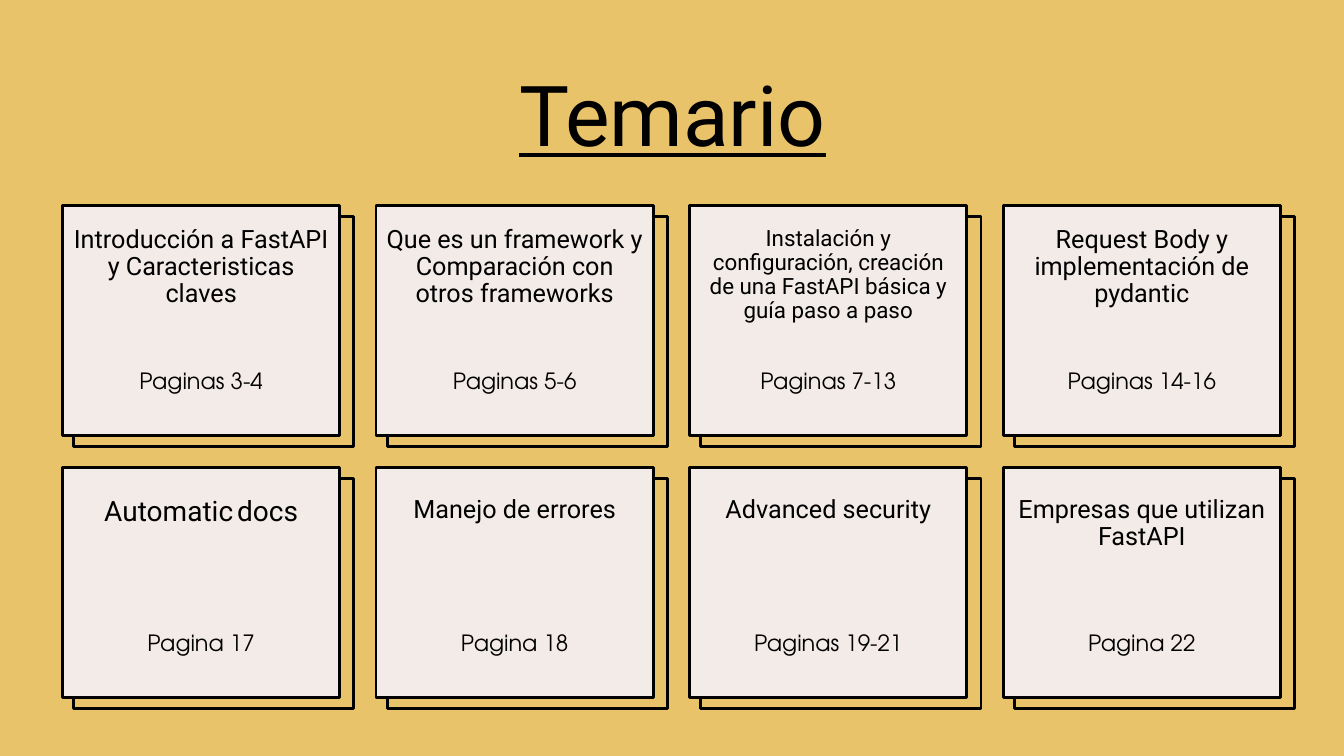
from dataclasses import dataclass

from pptx import Presentation
from pptx.dml.color import RGBColor
from pptx.enum.shapes import MSO_SHAPE
from pptx.enum.text import MSO_ANCHOR, PP_ALIGN
from pptx.shapes.autoshape import Shape
from pptx.slide import Slide
from pptx.text.text import TextFrame, _Run
from pptx.util import Emu, Pt

MUSTARD = RGBColor(0xE9, 0xC3, 0x69)
CREAM = RGBColor(0xF3, 0xEB, 0xE8)
BLACK = RGBColor(0x00, 0x00, 0x00)

HEADING_FONT = "Roboto"
SPACE_FONT = "Roboto Condensed"
PAGES_FONT = "TeX Gyre Adventor"

COLUMNS = 4
LEFT, COLUMN_STEP = 62, 311
CARD_TOPS = (204, 464)
HEADING_TOPS = (220, 488)
CARD_WIDTH, CARD_HEIGHT = 275, 228
BACKING_WIDTH, BACKING_OFFSET = 278, 11


@dataclass(frozen=True)
class Topic:
    heading: str
    pages: str
    size: int = 18


TOPICS = (
    Topic("Introducción a FastAPI y Caracteristicas claves", "Paginas 3-4"),
    Topic("Que es un framework y Comparación con otros frameworks", "Paginas 5-6"),
    Topic("Instalación y configuración, creación de una FastAPI básica y guía paso a paso",
          "Paginas 7-13", 16),
    Topic("Request Body y implementación de pydantic", "Paginas 14-16"),
    Topic("Automatic docs", "Pagina 17", 20),
    Topic("Manejo de errores", "Pagina 18"),
    Topic("Advanced security", "Paginas 19-21"),
    Topic("Empresas que utilizan FastAPI", "Pagina 22"),
)


def px(length: int) -> Emu:
    """Convert px, at 100 to the inch, into EMU."""
    return Emu(length * 9144)


def format_run(run: _Run, font: str, size: int) -> None:
    run.font.name = font
    run.font.size = Pt(size)
    run.font.color.rgb = BLACK


def format_frame(frame: TextFrame, font: str, size: int, inset_top: int) -> None:
    frame.word_wrap = True
    frame.vertical_anchor = MSO_ANCHOR.TOP
    frame.margin_left = frame.margin_right = px(10)
    frame.margin_top, frame.margin_bottom = px(inset_top), px(5)
    for paragraph in frame.paragraphs:
        paragraph.alignment = PP_ALIGN.CENTER
        paragraph.line_spacing = 0.9
        paragraph.space_before = Pt(10)
        for run in paragraph.runs:
            format_run(run, font, size)


def add_box(slide: Slide, left: int, top: int, width: int, fill: RGBColor) -> Shape:
    box = slide.shapes.add_shape(
        MSO_SHAPE.RECTANGLE, px(left), px(top), px(width), px(CARD_HEIGHT))
    box.shadow.inherit = False
    box.fill.solid()
    box.fill.fore_color.rgb = fill
    box.line.color.rgb = BLACK
    box.line.width = Pt(2)
    return box


def add_title(slide: Slide, text: str) -> None:
    title = slide.shapes.title
    title.left, title.top, title.width, title.height = px(125), px(56), px(1084), px(111)
    frame = title.text_frame
    frame.text = text
    frame.vertical_anchor = MSO_ANCHOR.BOTTOM
    paragraph = frame.paragraphs[0]
    paragraph.alignment = PP_ALIGN.CENTER
    format_run(paragraph.runs[0], HEADING_FONT, 60)
    paragraph.runs[0].font.underline = True


def add_topic(slide: Slide, topic: Topic, column: int, row: int) -> None:
    left, top = LEFT + column * COLUMN_STEP, CARD_TOPS[row]
    add_box(slide, left + BACKING_OFFSET, top + BACKING_OFFSET, BACKING_WIDTH, MUSTARD)
    card = add_box(slide, left, top, CARD_WIDTH, CREAM)
    card.text_frame.text = topic.pages
    format_frame(card.text_frame, PAGES_FONT, 16, inset_top=163)

    heading = slide.shapes.add_textbox(
        px(left), px(HEADING_TOPS[row]), px(CARD_WIDTH), px(100))
    frame = heading.text_frame
    if topic.size == 20:
        first, last = topic.heading.split()
        for part in (first, " ", last):
            frame.paragraphs[0].add_run().text = part
    else:
        frame.text = topic.heading
    format_frame(frame, HEADING_FONT, topic.size, inset_top=5)
    for run in frame.paragraphs[0].runs:
        if run.text == " ":
            format_run(run, SPACE_FONT, 12)


def main() -> None:
    presentation = Presentation()
    presentation.slide_width, presentation.slide_height = px(1333), px(750)
    slide = presentation.slides.add_slide(presentation.slide_layouts[5])
    slide.background.fill.solid()
    slide.background.fill.fore_color.rgb = MUSTARD
    add_title(slide, "Temario")
    for index, topic in enumerate(TOPICS):
        row, column = divmod(index, COLUMNS)
        add_topic(slide, topic, column, row)
    presentation.save("out.pptx")


if __name__ == "__main__":
    main()
